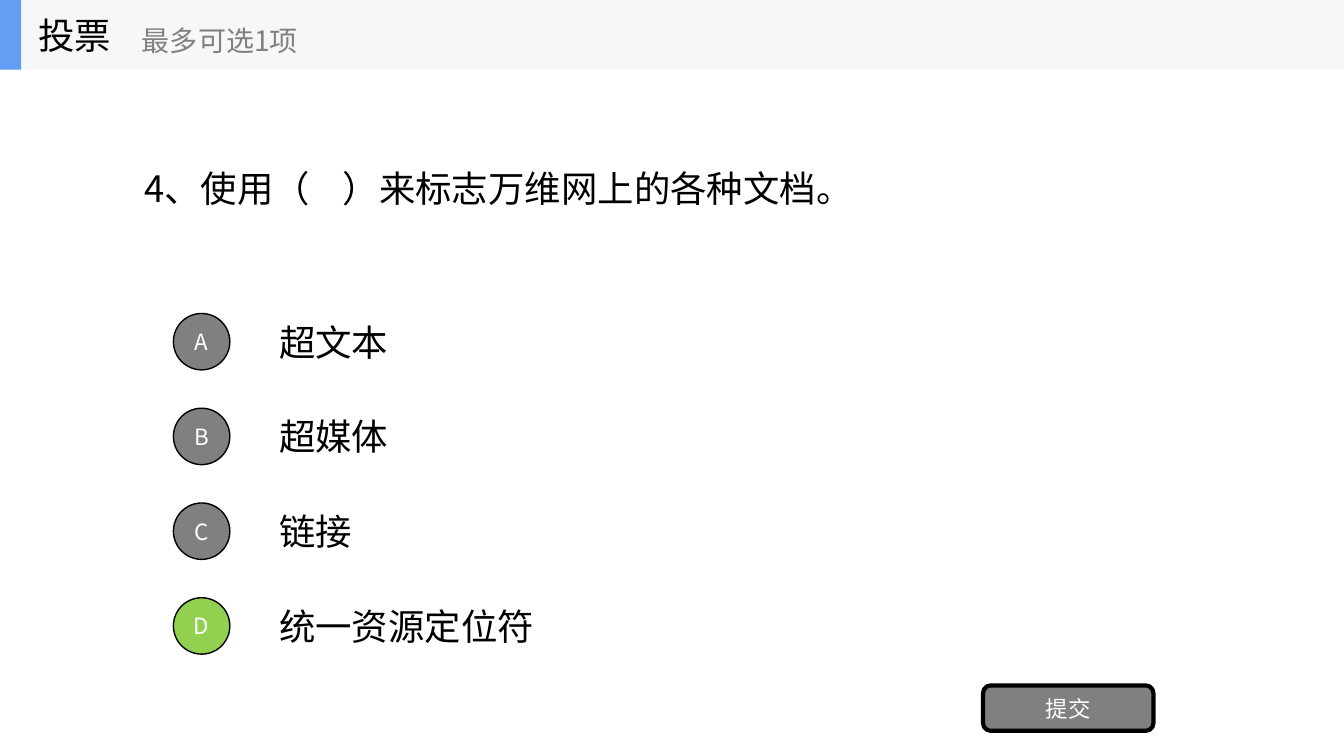
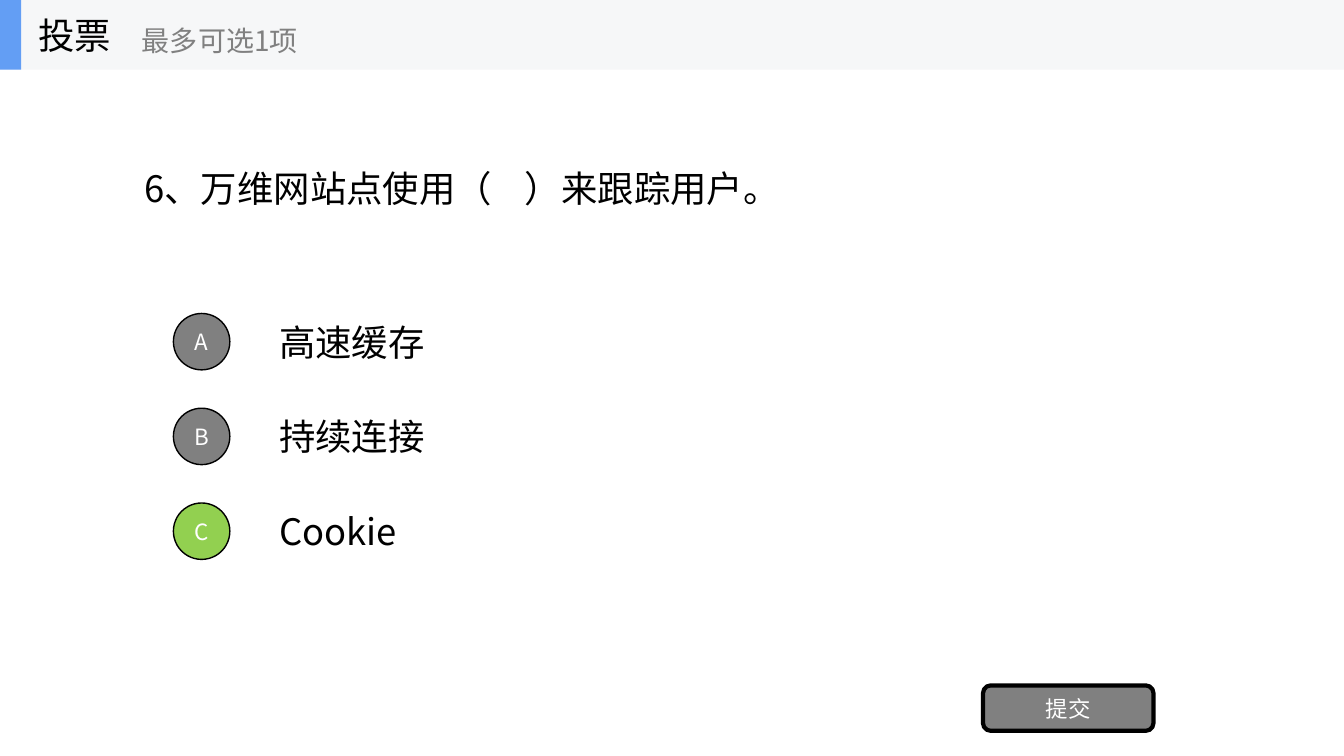
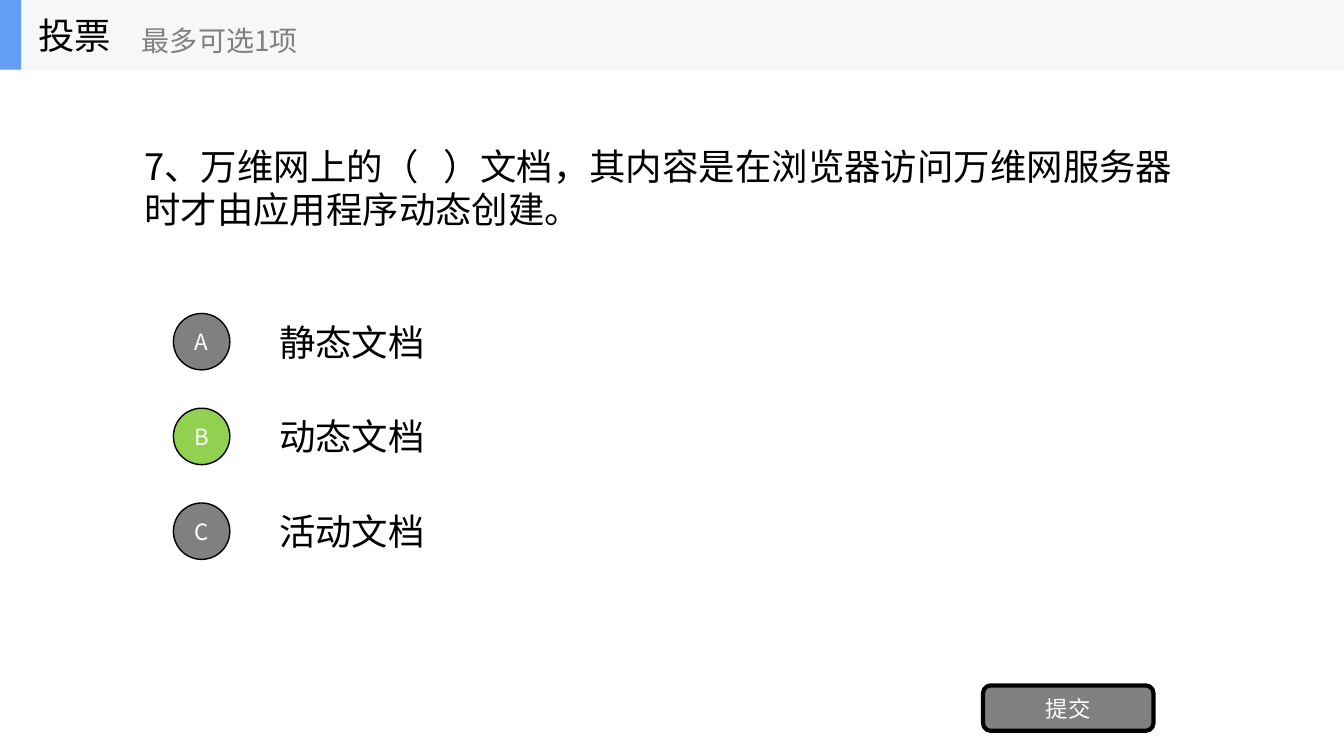
from lxml import etree
from pptx import Presentation
from pptx.dml.color import RGBColor
from pptx.enum.shapes import MSO_SHAPE
from pptx.enum.text import MSO_ANCHOR, MSO_AUTO_SIZE, PP_ALIGN
from pptx.oxml.ns import qn
from pptx.util import Inches, Pt

RECTANGLE = MSO_SHAPE.RECTANGLE
ROUNDED = MSO_SHAPE.ROUNDED_RECTANGLE
OVAL = MSO_SHAPE.OVAL
LEFT, CENTER = PP_ALIGN.LEFT, PP_ALIGN.CENTER
MIDDLE = MSO_ANCHOR.MIDDLE
NO_AUTOFIT = MSO_AUTO_SIZE.NONE

BLACK = RGBColor(0x00, 0x00, 0x00)
WHITE = RGBColor(0xFF, 0xFF, 0xFF)
GRAY = RGBColor(0x80, 0x80, 0x80)
GREEN = RGBColor(0x92, 0xD0, 0x50)
BLUE = RGBColor(0x63, 0x9E, 0xF4)
BAND = RGBColor(0xF6, 0xF7, 0xF8)

FONT = "Noto Sans CJK SC"
SLIDE_W, SLIDE_H = 13.33, 7.5
HEADER_H = 0.69
OPTION_TOP, OPTION_H, OPTION_STEP = 3.04, 0.7, 0.94
BADGE = 0.56

# Each poll: question, options, letter of the highlighted option
POLLS = [
    ("4、使用（    ）来标志万维网上的各种文档。",
     ["超文本", "超媒体", "链接", "统一资源定位符"], "D"),
    ("6、万维网站点使用（    ）来跟踪用户。",
     ["高速缓存", "持续连接", "Cookie"], "C"),
    ("7、万维网上的（   ）文档，其内容是在浏览器访问万维网服务器时才由应用程序动态创建。",
     ["静态文档", "动态文档", "活动文档"], "B"),
]


def write(shape, text, size=26, color=BLACK, align=LEFT):
    frame = shape.text_frame
    frame.word_wrap = True
    frame.auto_size = NO_AUTOFIT
    frame.vertical_anchor = MIDDLE
    paragraph = frame.paragraphs[0]
    paragraph.alignment = align
    run = paragraph.add_run()
    run.text = text
    run.font.size = Pt(size)
    run.font.color.rgb = color
    run.font.name = FONT
    east_asian = etree.SubElement(run.font._element, qn("a:ea"))
    east_asian.set("typeface", FONT)


def add_label(shapes, text, left, top, width, height, **text_format):
    label = shapes.add_textbox(*map(Inches, (left, top, width, height)))
    write(label, text, **text_format)


def add_block(shapes, kind, left, top, width, height, fill, line_width=0):
    block = shapes.add_shape(kind, *map(Inches, (left, top, width, height)))
    block.shadow.inherit = False
    block.fill.solid()
    block.fill.fore_color.rgb = fill
    if line_width:
        block.line.color.rgb = BLACK
        block.line.width = Pt(line_width)
    else:
        block.line.fill.background()
    return block


def add_button(shapes, text, kind, *box, fill=GRAY, line_width=1):
    button = add_block(shapes, kind, *box, fill, line_width)
    frame = button.text_frame
    frame.margin_left = frame.margin_right = 0
    frame.margin_top = frame.margin_bottom = 0
    write(button, text, size=16, color=WHITE, align=CENTER)


def add_question(slide, question):
    title = slide.shapes.title
    title.left, title.top = Inches(1.33), Inches(HEADER_H)
    title.width, title.height = Inches(10.67), Inches(2.34)
    write(title, question)


def add_options(shapes, options, chosen):
    badge_inset = (OPTION_H - BADGE) / 2
    for row, (letter, option) in enumerate(zip("ABCD", options)):
        top = OPTION_TOP + row * OPTION_STEP
        add_label(shapes, option, 2.67, top, 9.33, OPTION_H)
        add_button(shapes, letter, OVAL, 1.72, top + badge_inset, BADGE, BADGE,
                   fill=GREEN if letter == chosen else GRAY)


def add_header(slide):
    header = slide.shapes.add_group_shape().shapes
    add_block(header, RECTANGLE, 0, 0, SLIDE_W, HEADER_H, BAND)
    add_block(header, RECTANGLE, 0, 0, 0.21, HEADER_H, BLUE)
    add_label(header, "投票", 0.28, 0, 2.08, HEADER_H)
    add_label(header, "最多可选1项", 1.31, 0.12, 2.5, 0.56, size=20, color=GRAY)


def add_poll(deck, question, options, chosen):
    title_only = deck.slide_layouts[5]
    slide = deck.slides.add_slide(title_only)
    add_question(slide, question)
    add_options(slide.shapes, options, chosen)
    add_button(slide.shapes, "提交", ROUNDED, 9.75, 6.8, 1.69, 0.45, line_width=3)
    add_header(slide)


def main():
    deck = Presentation()
    deck.slide_width, deck.slide_height = Inches(SLIDE_W), Inches(SLIDE_H)
    for poll in POLLS:
        add_poll(deck, *poll)
    deck.save("out.pptx")


if __name__ == "__main__":
    main()
